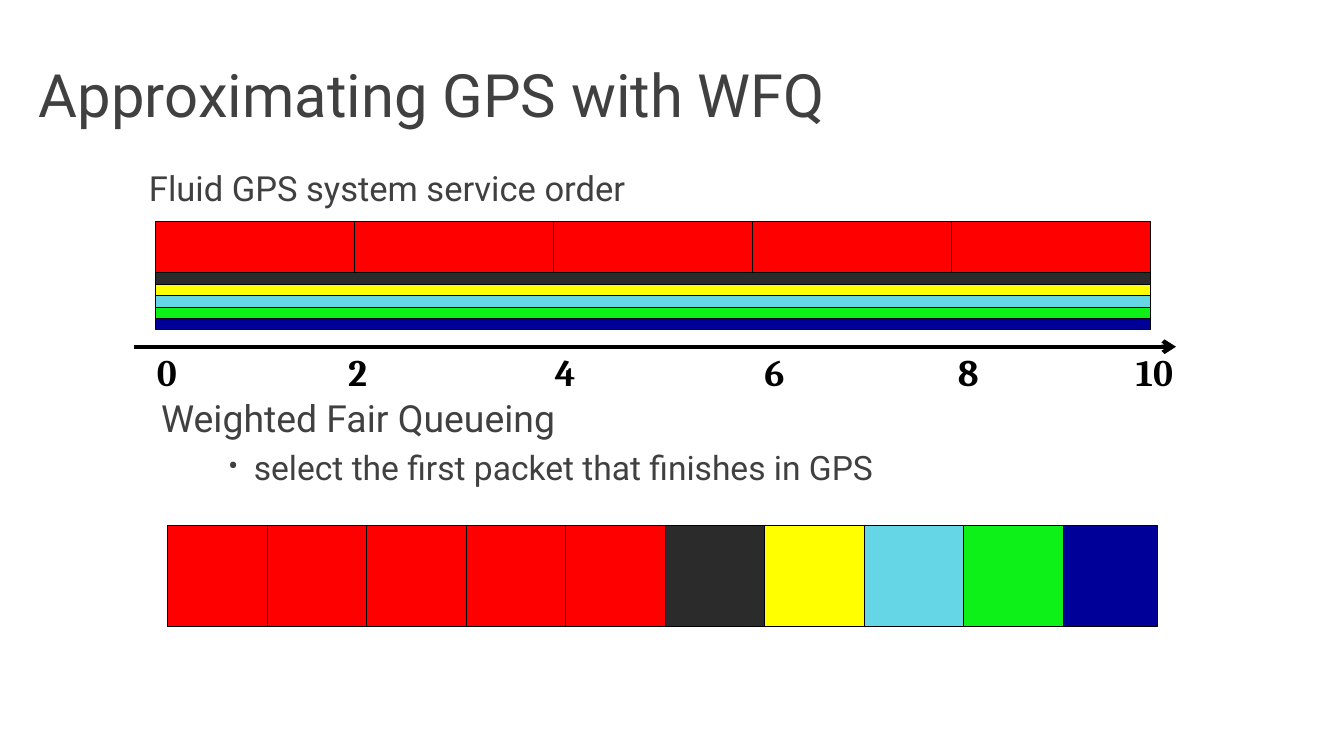
from lxml import etree
from pptx import Presentation
from pptx.dml.color import RGBColor
from pptx.enum.shapes import MSO_CONNECTOR, MSO_SHAPE
from pptx.enum.text import MSO_ANCHOR, PP_ALIGN
from pptx.oxml.ns import qn
from pptx.util import Inches, Pt

RECT, LINE = MSO_SHAPE.RECTANGLE, MSO_CONNECTOR.STRAIGHT
TOP, MIDDLE = MSO_ANCHOR.TOP, MSO_ANCHOR.MIDDLE
LEFT, CENTER = PP_ALIGN.LEFT, PP_ALIGN.CENTER

# Content
TITLE = "Approximating GPS with WFQ"
FLUID = "Fluid GPS system service order"
QUEUE = "Weighted Fair Queueing"
RULE = "select the first packet that finishes in GPS"
RED, GREY, BLACK = "FF0000", "404040", "000000"
FLOWS = ["2B2B2B", "FFFF00", "65D6E5", "0DF118", "000099"]
REDS = 5
# Label, left, width
TICKS = [("0", 1.07, 0.34), ("2", 2.49, 0.34), ("4", 4.03, 0.35),
         ("6", 5.59, 0.34), ("8", 7.03, 0.34), ("10", 8.17, 0.84)]

# Wide slide, 16 to 9
prs = Presentation()
prs.slide_width = Inches(10)
prs.slide_height = prs.slide_width * 9 // 16
slide = prs.slides.add_slide(prs.slide_layouts[6])


def color(code):
    return RGBColor.from_string(code)


def add_box(group, x, y, w, h, fill):
    box = group.add_shape(RECT, Inches(x), Inches(y), Inches(w), Inches(h))
    box.shadow.inherit = False
    box.fill.solid()
    box.fill.fore_color.rgb = color(fill)
    box.line.color.rgb = color(BLACK)
    box.line.width = Pt(0.5)


def style(para, size, font="Roboto", code=GREY, bold=False):
    for run in para.runs:
        run.font.size, run.font.name, run.font.bold = Pt(size), font, bold
        run.font.color.rgb = color(code)


def add_text(text, x, y, w, h, anchor=TOP, align=LEFT, wrap=True):
    box = slide.shapes.add_textbox(Inches(x), Inches(y), Inches(w), Inches(h))
    frame = box.text_frame
    frame.text = text
    frame.word_wrap, frame.vertical_anchor = wrap, anchor
    for para in frame.paragraphs:
        para.alignment = align
    return frame.paragraphs


# Headings
style(add_text(TITLE, 0.19, 0.23, 9.52, 0.94, MIDDLE)[0], 32)
head = add_text(FLUID, 1.01, 1.25, 7.81, 0.38)[0]
head.line_spacing = 0.8
style(head, 18.5)

# Fluid system: red packets in a row above thin bands
fluid = slide.shapes.add_group_shape().shapes
start, wide, thin = 1.16, 1.48, 0.085
for i in range(REDS):
    add_box(fluid, start + i * wide, 1.65, wide, 0.39, RED)
for i, flow in enumerate(FLOWS):
    add_box(fluid, start, 2.03 + i * thin, REDS * wide, thin, flow)

# Time axis
axis = slide.shapes.add_connector(LINE, Inches(1), Inches(2.58), Inches(8.75), Inches(2.58))
axis.line.color.rgb = color(BLACK)
axis.line.width = Pt(2.25)
etree.SubElement(axis.line._get_or_add_ln(), qn("a:tailEnd"), type="arrow")
etree.SubElement(axis._element.spPr, qn("a:effectLst"))
for label, x, w in TICKS:
    tick = add_text(label, x, 2.58, w, 0.41, MIDDLE, CENTER, len(label) > 1)[0]
    tick.line_spacing = 0.9
    style(tick, 20, "Cambria", BLACK, True)

# Weighted fair queueing text
name, rule = add_text(QUEUE + "\n" + RULE, 1.1, 2.89, 7.64, 2.17)
for para, size in ((name, 20), (rule, 18)):
    para.space_before = Pt(size * 0.2)
    style(para, size)
rule.level = 1
props = rule._p.get_or_add_pPr()
props.set("marL", str(Inches(0.69)))
props.set("indent", str(Inches(-0.19)))
etree.SubElement(props, qn("a:buSzPct"), val="90000")
etree.SubElement(props, qn("a:buFont"), typeface="Roboto")
etree.SubElement(props, qn("a:buChar"), char="•")

# Packets in order of service, the last one slightly narrower
packets = [RED] * REDS + FLOWS
side = 0.74
for i, fill in enumerate(packets):
    w = 0.7 if i == len(packets) - 1 else side
    add_box(slide.shapes, 1.25 + i * side, 3.91, w, 0.75, fill)

prs.save("out.pptx")
